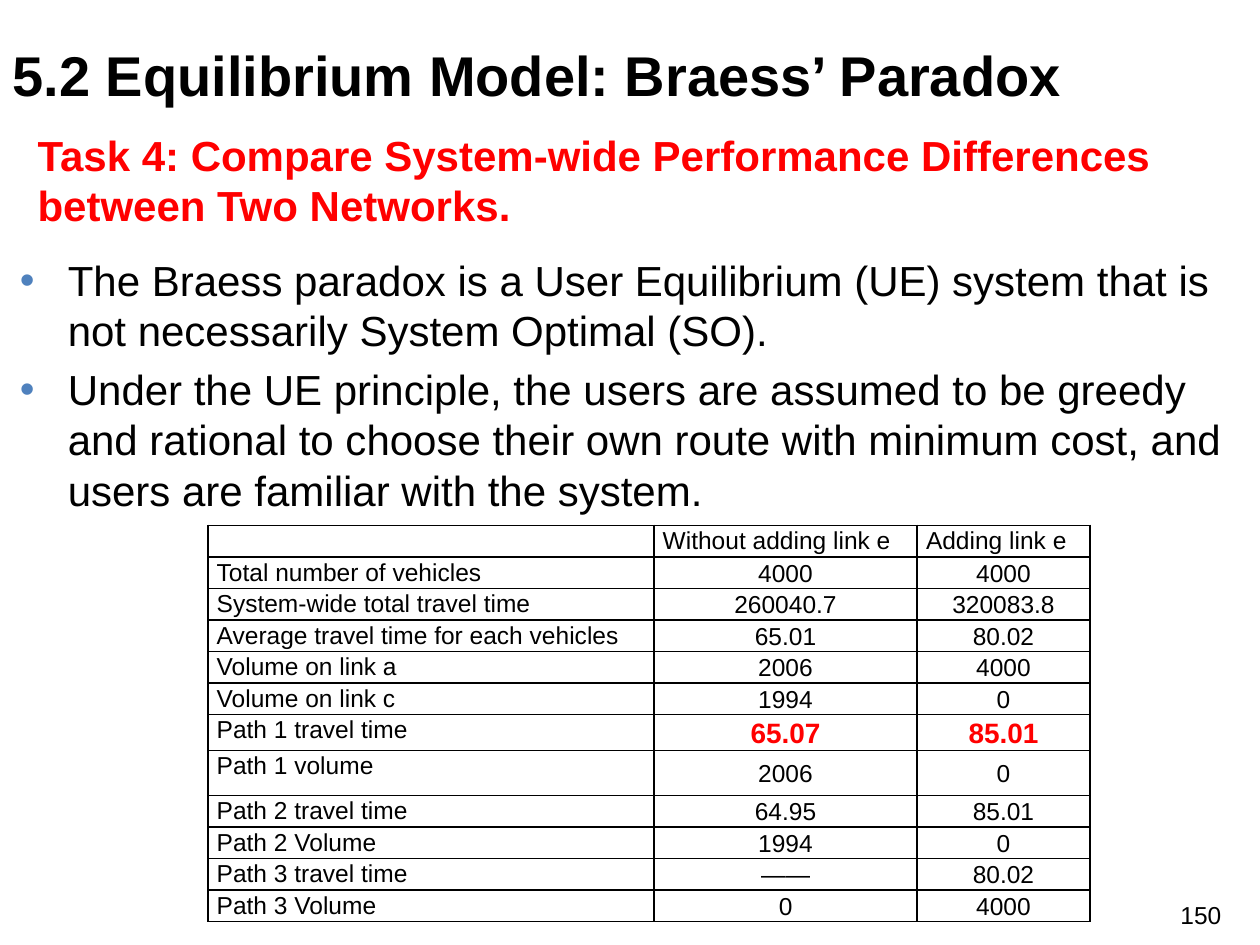
import lxml.etree
import pptx
import pptx.dml.color
import pptx.enum.text
import pptx.oxml.ns
import pptx.util

Inches = pptx.util.Inches
Pt = pptx.util.Pt
qn = pptx.oxml.ns.qn
ALIGN = pptx.enum.text.PP_ALIGN
ANCHOR = pptx.enum.text.MSO_ANCHOR

ROWS = [
    ("", "Without adding link e", "Adding link e"),
    ("Total number of vehicles", "4000", "4000"),
    ("System-wide total travel time", "260040.7", "320083.8"),
    ("Average travel time for each vehicles", "65.01", "80.02"),
    ("Volume on link a", "2006", "4000"),
    ("Volume on link c", "1994", "0"),
    ("Path 1 travel time", "65.07", "85.01"),
    ("Path 1 volume", "2006", "0"),
    ("Path 2 travel time", "64.95", "85.01"),
    ("Path 2 Volume", "1994", "0"),
    ("Path 3 travel time", "——", "80.02"),
    ("Path 3 Volume", "0", "4000"),
]
BULLETS = [
    "The Braess paradox is a User Equilibrium (UE) system that is not necessarily System Optimal (SO).",
    "Under the UE principle, the users are assumed to be greedy and rational to choose their own route "
    "with minimum cost, and users are familiar with the system.",
]


def rgb(color):
    return pptx.dml.color.RGBColor.from_string(color)


def add(parent, tag, **attrs):
    return lxml.etree.SubElement(parent, qn(tag), **attrs)


class Deck:
    font = "Arial"
    black, red, blue = "000000", "FF0000", "4F81BD"

    def __init__(self):
        self.prs = pptx.Presentation()
        self.prs.slide_width, self.prs.slide_height = Inches(10), Inches(7.5)
        self.s = self.prs.slides.add_slide(self.prs.slide_layouts[5])

    def style(self, p, size, color=black, bold=False):
        for r in p.runs:
            f = r.font
            f.name, f.size, f.bold = self.font, Pt(size), bold
            f.color.rgb = rgb(color)

    def title(self, text, x, y, w, h):
        sp = self.s.shapes.title
        sp.left, sp.top, sp.width, sp.height = map(Inches, (x, y, w, h))
        tf = sp.text_frame
        tf.text = text
        tf.vertical_anchor = ANCHOR.MIDDLE
        tf.paragraphs[0].alignment = ALIGN.LEFT
        self.style(tf.paragraphs[0], 32, bold=True)

    def text(self, lines, x, y, w, h, size, color=black, bold=False,
             anchor=ANCHOR.TOP, bullets=False):
        tf = self.s.shapes.add_textbox(*map(Inches, (x, y, w, h))).text_frame
        tf.word_wrap = True
        tf.vertical_anchor = anchor
        tf.text = "\n".join(lines)
        for i, p in enumerate(tf.paragraphs):
            if i:
                p.space_before = Pt(size * 0.2)
            if bullets:
                self.bullet(p)
            self.style(p, size, color, bold)

    def bullet(self, p):
        pPr = p._p.get_or_add_pPr()
        pPr.set("marL", str(Inches(0.38)))
        pPr.set("indent", str(-Inches(0.38)))
        add(add(pPr, "a:buClr"), "a:srgbClr", val=self.blue)
        add(pPr, "a:buFont", typeface=self.font)
        add(pPr, "a:buChar", char="•")

    def borders(self, cell):
        tcPr = cell._tc.get_or_add_tcPr()
        for i, side in enumerate(("a:lnL", "a:lnR", "a:lnT", "a:lnB")):
            ln = lxml.etree.Element(qn(side), w=str(Pt(1)))
            add(add(ln, "a:solidFill"), "a:srgbClr", val=self.black)
            tcPr.insert(i, ln)

    def cell(self, cell, text, size=14, color=black, bold=False, centered=False):
        cell.fill.background()
        self.borders(cell)
        cell.margin_left = cell.margin_right = Inches(0.07)
        cell.margin_top = cell.margin_bottom = 0
        cell.vertical_anchor = ANCHOR.MIDDLE if centered else ANCHOR.TOP
        cell.text_frame.text = text
        p = cell.text_frame.paragraphs[0]
        p.alignment = ALIGN.CENTER if centered else ALIGN.LEFT
        p.line_spacing = 1.07
        self.style(p, size, color, bold)
        if not text:
            add(p._p, "a:endParaRPr", sz=str(size * 100))

    def table(self, rows, x, y, widths, heights, highlight):
        t = self.s.shapes.add_table(len(rows), len(widths), Inches(x), Inches(y),
                                    Inches(sum(widths)), Inches(sum(heights))).table
        for col, w in zip(t.columns, widths):
            col.width = Inches(w)
        for i, (values, h) in enumerate(zip(rows, heights)):
            t.rows[i].height = Inches(h)
            for j, value in enumerate(values):
                look = {"centered": i > 0 and j > 0}
                if i == highlight and j > 0:
                    look.update(size=16, color=self.red, bold=True)
                self.cell(t.cell(i, j), value, **look)


def main():
    d = Deck()
    d.text(["150"], 9.27, 7.09, 0.61, 0.4, 14)
    d.title("5.2 Equilibrium Model: Braess’ Paradox", 0, 0.03, 10, 1.12)
    d.text(["Task 4: Compare System-wide Performance Differences between Two Networks."],
           0.2, 0.75, 9.4, 1.35, 24, d.red, True, ANCHOR.MIDDLE)
    heights = [0.25] * 6 + [0.28, 0.36] + [0.25] * 4
    d.table(ROWS, 1.65, 4.17, [3.54, 2.09, 1.37], heights, highlight=6)
    d.text(BULLETS, 0.06, 1.97, 9.88, 2.2, 24, bullets=True)
    d.prs.save("out.pptx")


if __name__ == "__main__":
    main()
